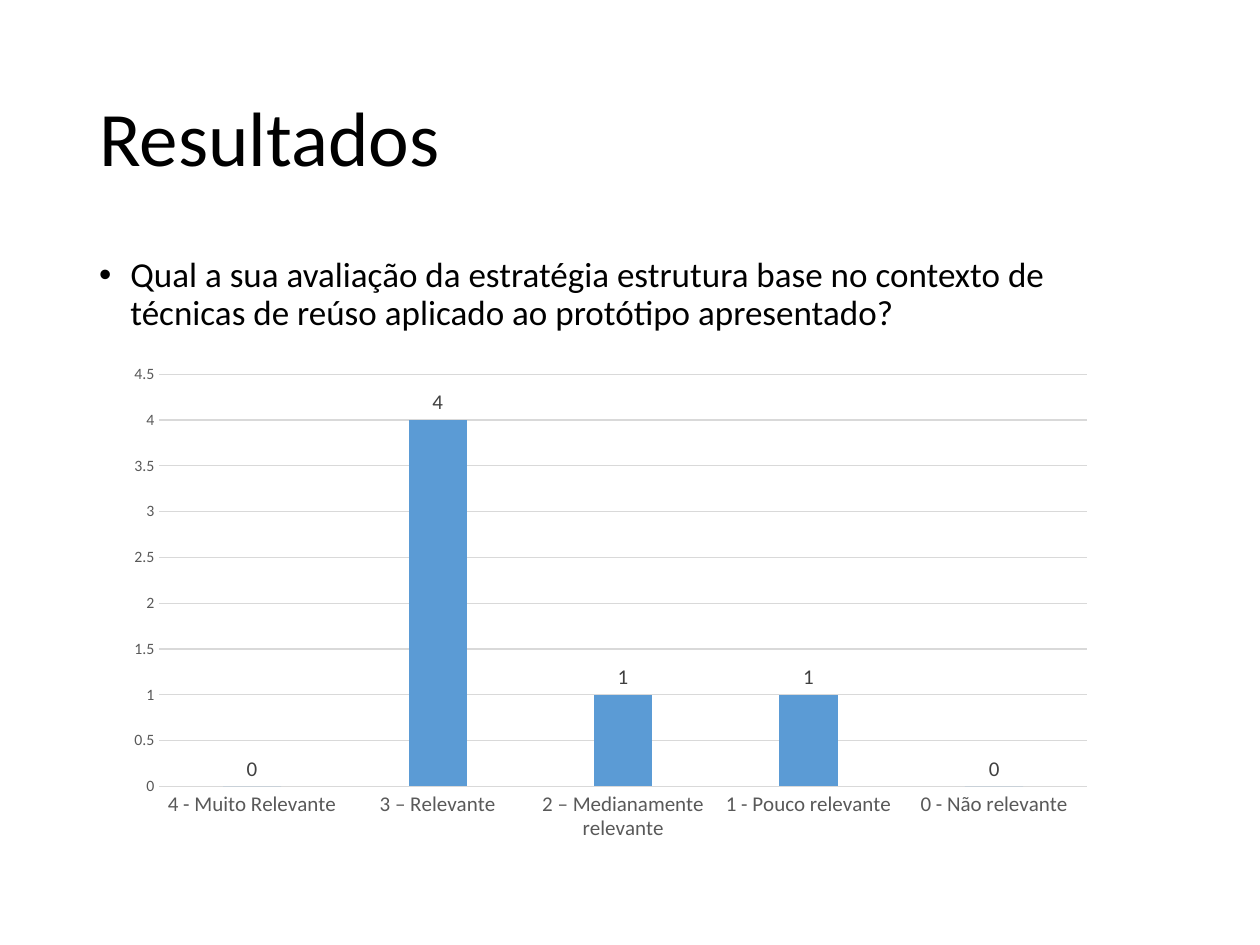
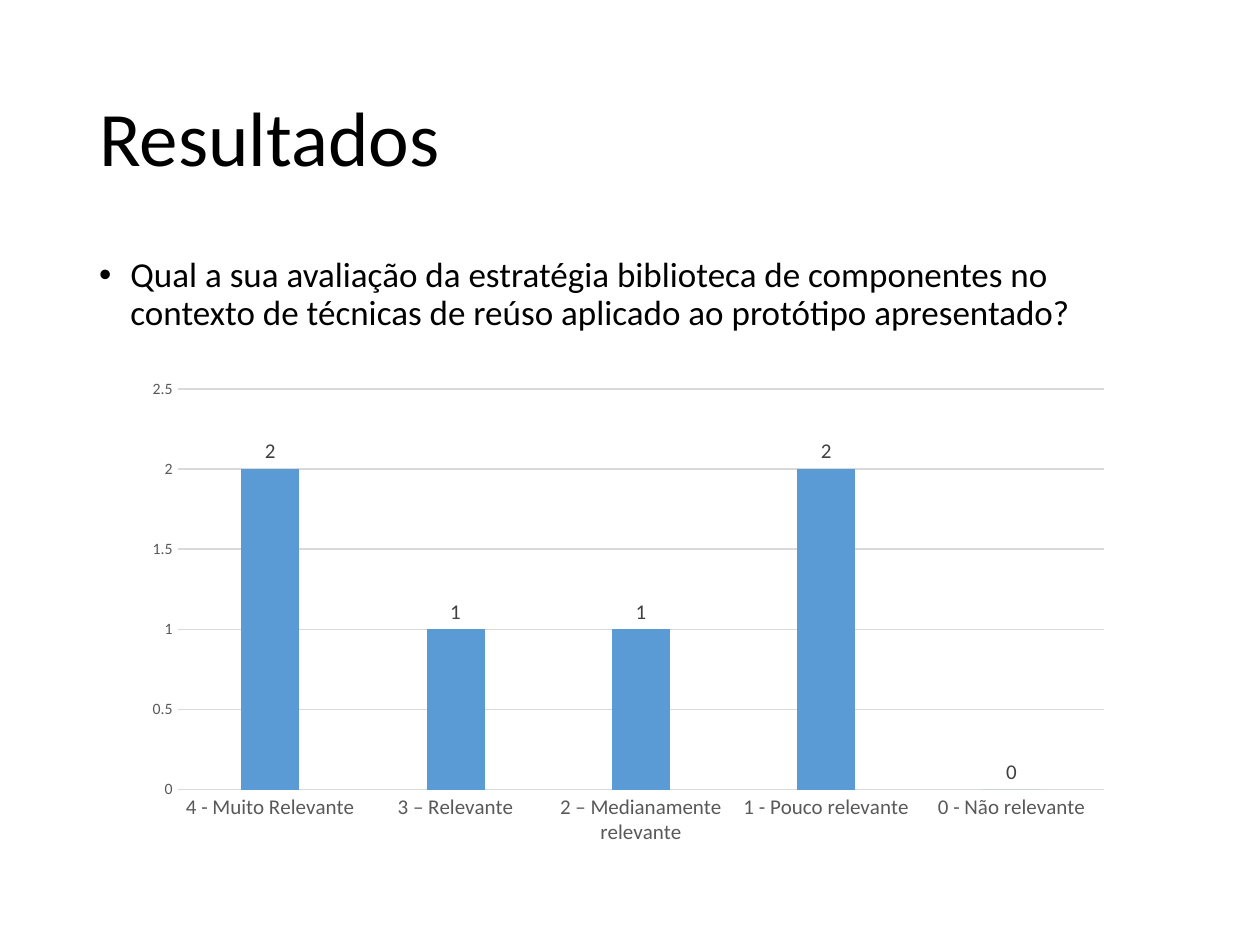
"""Build the two survey result slides, each with a question and a column chart."""
import pptx
import pptx.chart.data
import pptx.dml.color
import pptx.enum.chart
import pptx.enum.text
import pptx.oxml
import pptx.oxml.ns
import pptx.util
from pptx.util import Cm, Pt

COLOURS = {"text": "000000", "axis": "595959", "grid": "D9D9D9", "bar": "5B9BD5", "label": "404040"}
FONT = "Calibri"
CATEGORIES = [
    "4 - Muito Relevante",
    "3 – Relevante",
    "2 – Medianamente relevante",
    "1 - Pouco relevante",
    "0 - Não relevante",
]
RESULTS = [
    {
        "question": "Qual a sua avaliação da estratégia estrutura base no contexto de "
        "técnicas de reúso aplicado ao protótipo apresentado?",
        "votes": [0, 4, 1, 1, 0],
        "corner": (2.31, 7.16),
        "plot": None,
    },
    {
        "question": "Qual a sua avaliação da estratégia biblioteca de componentes no contexto de "
        "técnicas de reúso aplicado ao protótipo apresentado?",
        "votes": [2, 1, 1, 2, 0],
        "corner": (2.84, 7.42),
        "plot": {"x": 0.037, "y": 0.042, "w": 0.934, "h": 0.808},
    },
]


def rgb(name):
    return pptx.dml.color.RGBColor.from_string(COLOURS[name])


def set_font(font, size, colour):
    font.name = FONT
    font.size = Pt(size)
    font.color.rgb = rgb(colour)


presentation = pptx.Presentation()
presentation.slide_width = Cm(25.4)
presentation.slide_height = Cm(19.05)

for result in RESULTS:
    slide = presentation.slides.add_slide(presentation.slide_layouts[5])

    title = slide.shapes.title
    title.left, title.top, title.width, title.height = Cm(1.75), Cm(1.01), Cm(21.9), Cm(3.68)
    title.text_frame.text = "Resultados"
    title.text_frame.vertical_anchor = pptx.enum.text.MSO_ANCHOR.MIDDLE
    paragraph = title.text_frame.paragraphs[0]
    paragraph.alignment = pptx.enum.text.PP_ALIGN.LEFT
    paragraph.line_spacing = 0.9
    set_font(paragraph.font, 44, "text")

    question = slide.shapes.add_textbox(Cm(1.75), Cm(5.07), Cm(21.9), Cm(12.09))
    question.text_frame.word_wrap = True
    question.text_frame.text = result["question"]
    paragraph = question.text_frame.paragraphs[0]
    paragraph.line_spacing = 0.9
    properties = paragraph._p.get_or_add_pPr()
    properties.set("marL", str(Cm(0.63)))
    properties.set("indent", str(-Cm(0.63)))
    namespace = pptx.oxml.ns.nsdecls("a")
    properties.append(pptx.oxml.parse_xml(f'<a:buFont {namespace} typeface="Arial"/>'))
    properties.append(pptx.oxml.parse_xml(f'<a:buChar {namespace} char="•"/>'))
    set_font(paragraph.font, 20, "text")

    chart_data = pptx.chart.data.CategoryChartData()
    chart_data.categories = CATEGORIES
    chart_data.add_series("Series 1", result["votes"])
    left, top = result["corner"]
    chart = slide.shapes.add_chart(
        pptx.enum.chart.XL_CHART_TYPE.COLUMN_CLUSTERED, Cm(left), Cm(top), Cm(20), Cm(10), chart_data
    ).chart
    chart.has_title = False
    chart.has_legend = False
    set_font(chart.font, 10, "text")

    for axis, size in ((chart.category_axis, 12), (chart.value_axis, 9)):
        axis.major_tick_mark = pptx.enum.chart.XL_TICK_MARK.NONE
        axis.minor_tick_mark = pptx.enum.chart.XL_TICK_MARK.NONE
        set_font(axis.tick_labels.font, size, "axis")
    chart.value_axis.format.line.fill.background()
    for line in (chart.category_axis.format.line, chart.value_axis.major_gridlines.format.line):
        line.color.rgb = rgb("grid")
        line.width = Pt(0.75)

    plot = chart.plots[0]
    plot.gap_width = 219
    plot.overlap = -27
    plot.vary_by_categories = False
    series = plot.series[0]
    series.format.fill.solid()
    series.format.fill.fore_color.rgb = rgb("bar")
    labels = series.data_labels
    labels.show_value = True
    labels.position = pptx.enum.chart.XL_LABEL_POSITION.OUTSIDE_END
    set_font(labels.font, 12, "label")

    if result["plot"]:
        plot_area = chart.element.xpath("c:chart/c:plotArea")[0]
        for layout in plot_area.xpath("c:layout"):
            plot_area.remove(layout)
        modes = '<c:layoutTarget val="inner"/><c:xMode val="edge"/><c:yMode val="edge"/>'
        places = "".join(f'<c:{key} val="{value}"/>' for key, value in result["plot"].items())
        plot_area.insert(0, pptx.oxml.parse_xml(
            f'<c:layout {pptx.oxml.ns.nsdecls("c")}>'
            f"<c:manualLayout>{modes}{places}</c:manualLayout></c:layout>"
        ))

presentation.save("out.pptx")
